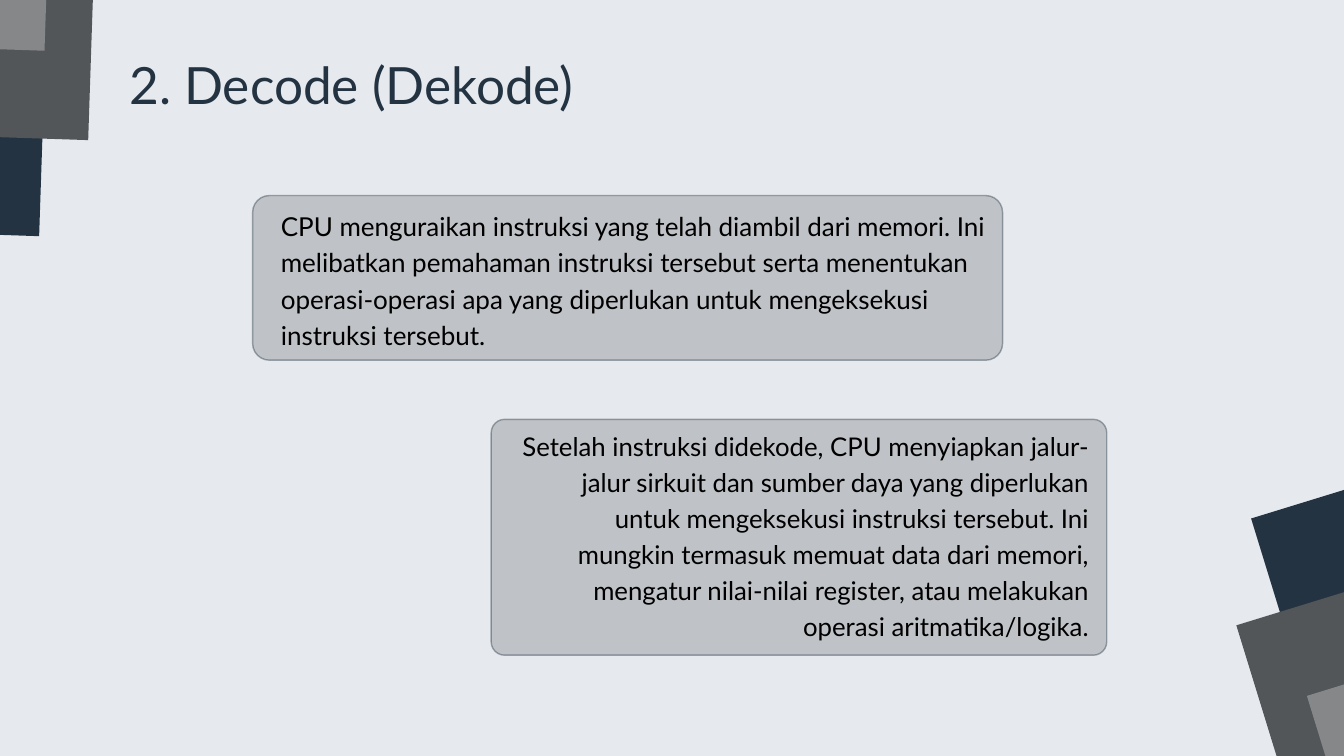
from lxml import etree
from pptx import Presentation
from pptx.dml.color import RGBColor
from pptx.enum.shapes import MSO_SHAPE as SHAPE
from pptx.enum.text import MSO_AUTO_SIZE as AUTO, PP_ALIGN as ALIGN
from pptx.oxml.ns import qn
from pptx.util import Inches, Pt

COLORS = {
    "background": "E6EAEF",
    "navy": "243342",
    "slate": "535659",
    "gray": "858789",
    "black": "000000",
}
FONT = "Lato"
CARD_OPACITY = 40


def rgb(name):
    return RGBColor.from_string(COLORS[name])


def set_fill(sp, color):
    sp.shadow.inherit = False
    sp.fill.solid()
    sp.fill.fore_color.rgb = rgb(color)


def add_tilted_squares(slide, corners, angle):
    for color, (x, y) in zip(("navy", "slate", "gray"), corners):
        sp = slide.shapes.add_shape(
            SHAPE.RECTANGLE, Inches(x), Inches(y), Inches(6.07), Inches(6.1))
        set_fill(sp, color)
        sp.line.fill.background()
        sp.rotation = angle


def add_text(slide, box, text, size, spacing, color="black", align=ALIGN.LEFT):
    tf = slide.shapes.add_textbox(*map(Inches, box)).text_frame
    tf.word_wrap = True
    tf.auto_size = AUTO.SHAPE_TO_FIT_TEXT
    tf.margin_left = tf.margin_top = tf.margin_right = tf.margin_bottom = 0
    p = tf.paragraphs[0]
    p.alignment = align
    p.line_spacing = Pt(spacing)
    r = p.add_run()
    r.text = text
    r.font.name = FONT
    r.font.size = Pt(size)
    r.font.color.rgb = rgb(color)


def add_card(slide, box, radius):
    sp = slide.shapes.add_shape(SHAPE.ROUNDED_RECTANGLE, *map(Inches, box))
    sp.adjustments[0] = radius / box[3]
    set_fill(sp, "gray")
    sp.line.color.rgb = rgb("navy")
    sp.line.width = Pt(1.5)
    for clr in sp._element.spPr.iter(qn("a:srgbClr")):
        alpha = etree.SubElement(clr, qn("a:alpha"))
        alpha.set("val", str(CARD_OPACITY * 1000))


def main():
    prs = Presentation()
    prs.slide_width, prs.slide_height = Inches(20), Inches(11.25)
    slide = prs.slides.add_slide(prs.slide_layouts[6])
    slide.background.fill.solid()
    slide.background.fill.fore_color.rgb = rgb("background")

    add_tilted_squares(
        slide, [(-5.4, -2.67), (-4.67, -4.1), (-5.32, -5.43)], 271.9)
    add_tilted_squares(
        slide, [(19.39, 6.67), (19.17, 8.26), (20.22, 9.31)], 72.9)

    add_text(slide, (1.63, 1.01, 7.2, 1.03), "2. Decode (Dekode)",
             55, 50.6, "navy", ALIGN.CENTER)

    add_card(slide, (3.76, 2.91, 11.16, 2.45), 0.25)
    add_text(slide, (4.18, 3.05, 10.55, 2.2),
             "CPU menguraikan instruksi yang telah diambil dari memori. Ini "
             "melibatkan pemahaman instruksi tersebut serta menentukan "
             "operasi-operasi apa yang diperlukan untuk mengeksekusi "
             "instruksi tersebut.", 27.9, 39.1)

    add_card(slide, (7.31, 6.24, 9.16, 3.51), 0.2)
    add_text(slide, (7.64, 6.33, 8.56, 3.26),
             "Setelah instruksi didekode, CPU menyiapkan jalur-jalur sirkuit "
             "dan sumber daya yang diperlukan untuk mengeksekusi instruksi "
             "tersebut. Ini mungkin termasuk memuat data dari memori, "
             "mengatur nilai-nilai register, atau melakukan operasi "
             "aritmatika/logika.", 27.6, 38.7, align=ALIGN.RIGHT)

    prs.save("out.pptx")


if __name__ == "__main__":
    main()
